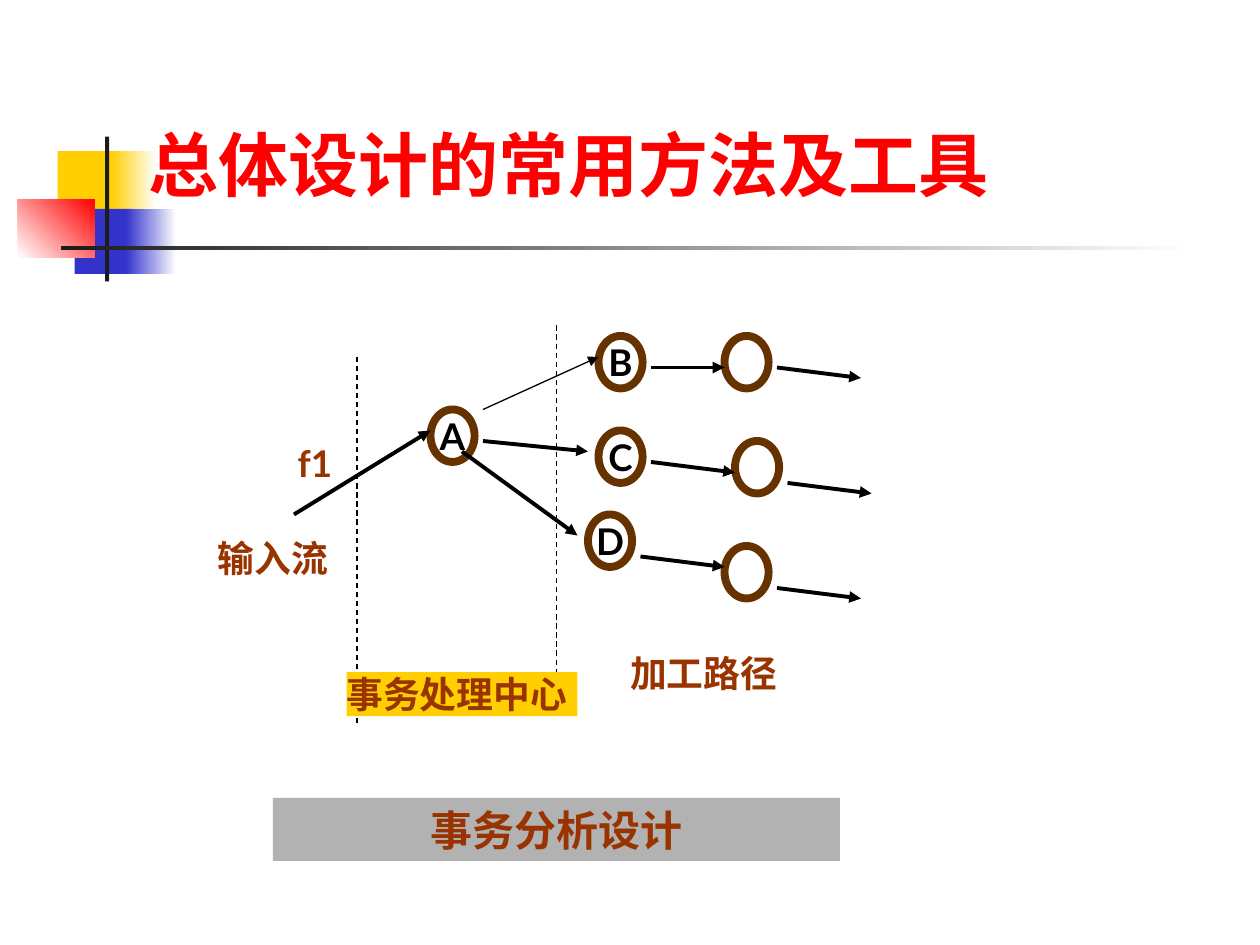
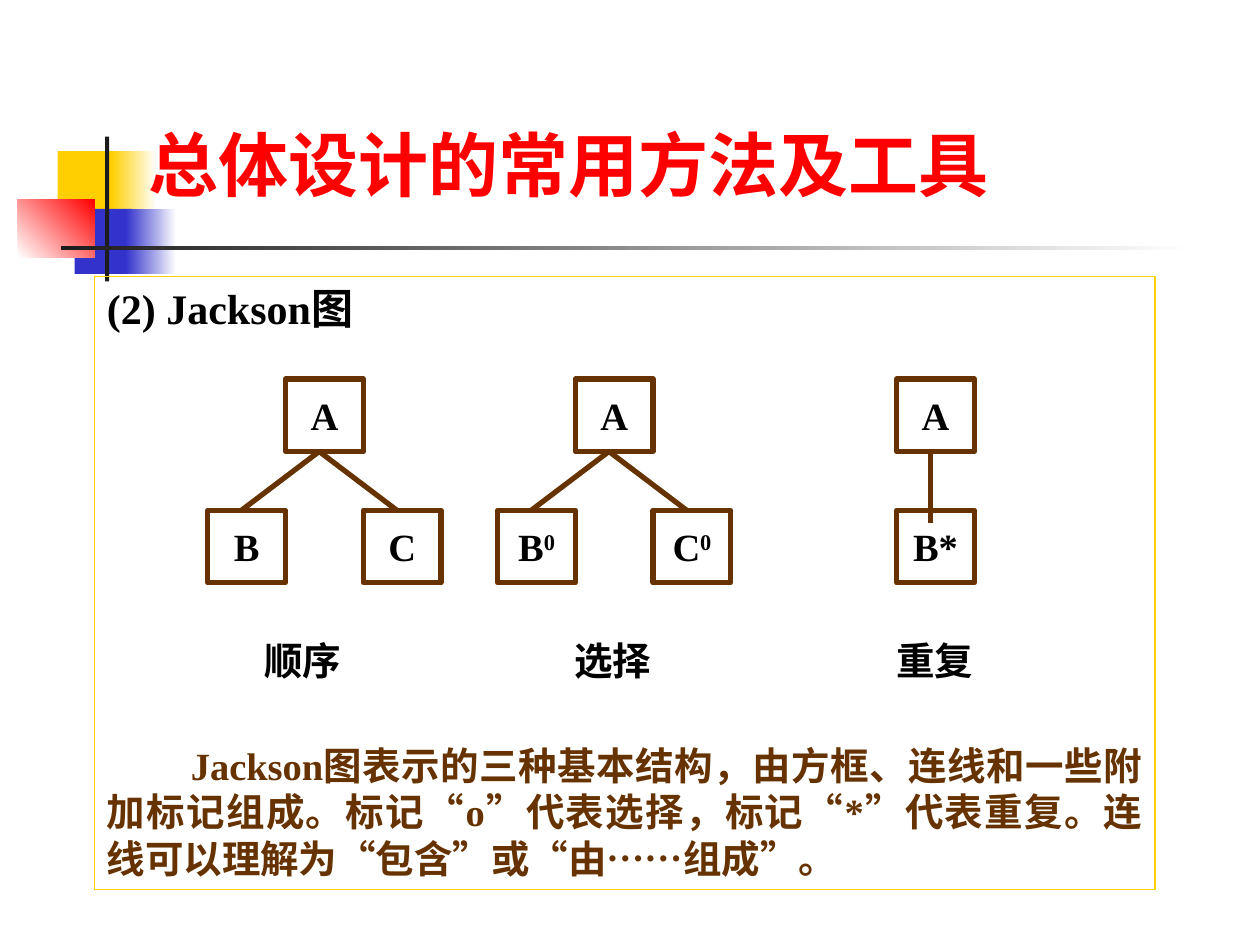
import dataclasses

import lxml.etree
import pptx
import pptx.dml.color
import pptx.enum.dml
import pptx.enum.shapes
import pptx.enum.text
import pptx.oxml
import pptx.oxml.ns
import pptx.util

SHAPE = pptx.enum.shapes.MSO_SHAPE
ALIGN = pptx.enum.text.PP_ALIGN
ANCHOR = pptx.enum.text.MSO_ANCHOR
EMU_PER_PX = 7620


@dataclasses.dataclass(frozen=True)
class Theme:
    white: str = "FFFFFF"
    black: str = "000000"
    ink: str = "1C1C1C"
    yellow: str = "FFCF01"
    blue: str = "3333CC"
    red: str = "FF0000"
    brown: str = "663300"
    rust: str = "993300"
    grey: str = "B2B2B2"
    serif: str = "Times New Roman"
    sans: str = "Lato"
    title: int = 40
    heading: int = 24
    body: int = 22
    label: int = 21
    thin: float = 0.75
    arrow: float = 2.25
    box: float = 3
    ring: float = 4.5


def px(n):
    return pptx.util.Emu(n * EMU_PER_PX)


def rgb(color):
    return pptx.dml.color.RGBColor.from_string(color)


class Deck:
    def __init__(self, theme):
        self.theme = theme
        self.prs = pptx.Presentation()
        self.prs.slide_width, self.prs.slide_height = px(1200), px(900)
        self.shapes = None

    def slide(self, title):
        t = self.theme
        s = self.prs.slides.add_slide(self.prs.slide_layouts[6])
        self.shapes = s.shapes
        self.shape(55, 144, 58, 62, fill=t.yellow)
        self.fade(106, 144, 43, 62, t.yellow, t.white)
        self.shape(71, 199, 55, 62, fill=t.blue)
        self.fade(120, 199, 48, 62, t.blue, t.white)
        self.fade(17, 190, 73, 55, t.white, t.red, 45)
        self.shape(100, 130, 4, 138, fill=t.ink)
        self.fade(58, 234, 1080, 4, t.ink, t.white)
        self.text(130, 110, 1020, 92, title, t.title, t.red, t.serif)

    def shape(self, x, y, w, h, kind=SHAPE.RECTANGLE, fill=None, line=None, width=1):
        sp = self.shapes.add_shape(kind, px(x), px(y), px(w), px(h))
        sp.shadow.inherit = False
        if fill:
            sp.fill.solid()
            sp.fill.fore_color.rgb = rgb(fill)
        else:
            sp.fill.background()
        if line:
            sp.line.color.rgb = rgb(line)
            sp.line.width = pptx.util.Pt(width)
        else:
            sp.line.fill.background()
        return sp

    def fade(self, x, y, w, h, start, end, angle=0):
        sp = self.shape(x, y, w, h)
        sp.fill.gradient()
        sp.fill.gradient_angle = angle
        for stop, color in zip(sp.fill.gradient_stops, (start, end)):
            stop.color.rgb = rgb(color)

    def frame(self, sp, inset=(12, 6), anchor=ANCHOR.TOP, wrap=True):
        tf = sp.text_frame
        tf.margin_left = tf.margin_right = px(inset[0])
        tf.margin_top = tf.margin_bottom = px(inset[1])
        tf.vertical_anchor = anchor
        tf.word_wrap = wrap
        return tf

    def fill_paragraph(self, p, text, size, color, font, align=ALIGN.LEFT, sup=""):
        p.alignment = align
        p.font.size = pptx.util.Pt(size)
        p.font.bold = True
        p.font.name = font
        p.font.color.rgb = rgb(color)
        p.add_run().text = text
        if sup:
            r = p.add_run()
            r.text = sup
            r.font._element.set("baseline", "30000")

    def text(self, x, y, w, h, text, size, color, font, align=ALIGN.LEFT,
             inset=(12, 6), wrap=True, fill=None):
        sp = self.shapes.add_textbox(px(x), px(y), px(w), px(h))
        if fill:
            sp.fill.solid()
            sp.fill.fore_color.rgb = rgb(fill)
        tf = self.frame(sp, inset, wrap=wrap)
        self.fill_paragraph(tf.paragraphs[0], text, size, color, font, align)

    def label(self, x, y, w, text, align=ALIGN.LEFT, fill=None):
        t = self.theme
        self.text(x, y, w, 42, text, t.label, t.rust, t.sans, align, (0, 0), fill=fill)

    def node(self, x, y, text=""):
        t = self.theme
        sp = self.shape(x, y, 42, 50, SHAPE.OVAL, line=t.brown, width=t.ring)
        if text:
            tf = self.frame(sp, anchor=ANCHOR.MIDDLE, wrap=False)
            self.fill_paragraph(tf.paragraphs[0], text, t.label, t.black, t.sans,
                                ALIGN.CENTER)

    def box(self, x, y, text, sup=""):
        t = self.theme
        sp = self.shape(x, y, 74, 69, line=t.brown, width=t.box)
        tf = self.frame(sp, anchor=ANCHOR.MIDDLE, wrap=False)
        self.fill_paragraph(tf.paragraphs[0], text, t.body, t.black, t.serif,
                            ALIGN.CENTER, sup)

    def line(self, x1, y1, x2, y2, color, width, dash=False, arrow=False):
        c = self.shapes.add_connector(
            pptx.enum.shapes.MSO_CONNECTOR.STRAIGHT, px(x1), px(y1), px(x2), px(y2))
        c.line.color.rgb = rgb(color)
        c.line.width = pptx.util.Pt(width)
        if dash:
            c.line.dash_style = pptx.enum.dml.MSO_LINE.DASH
        qn = pptx.oxml.ns.qn
        if arrow:
            ln = c._element.spPr.find(qn("a:ln"))
            lxml.etree.SubElement(ln, qn("a:tailEnd"), type="triangle")
        lxml.etree.SubElement(c._element.spPr, qn("a:effectLst"))

    def tree(self, x, children, line_end):
        t = self.theme
        slide_shapes = self.shapes
        self.shapes = slide_shapes.add_group_shape().shapes
        self.box(x, 361, "A")
        for dx, text, sup in children:
            self.box(x + dx, 486, text, sup)
        for dx, _, _ in children:
            self.line(x + 32, 430, x + dx + 32, line_end, t.brown, t.box)
        self.shapes = slide_shapes


def transaction_slide(deck, title):
    t = deck.theme
    deck.slide(title)
    for x, top, bottom in ((340, 340, 690), (530, 310, 670)):
        deck.line(x, top, x, bottom, t.black, t.thin, dash=True)
    nodes = ((410, 390, "A"), (570, 320, "B"), (570, 410, "C"), (560, 490, "D"),
             (690, 320, ""), (700, 420, ""), (690, 520, ""))
    for x, y, name in nodes:
        deck.node(x, y, name)
    deck.line(460, 390, 570, 340, t.black, t.thin, arrow=True)
    arrows = ((280, 490, 410, 410), (460, 420, 560, 430), (440, 430, 550, 510),
              (620, 350, 690, 350), (620, 440, 700, 450), (610, 530, 690, 540),
              (740, 350, 820, 360), (750, 460, 830, 470), (740, 560, 820, 570))
    for ends in arrows:
        deck.line(*ends, t.black, t.arrow, arrow=True)
    deck.label(270, 420, 60, "f1", ALIGN.CENTER)
    deck.label(200, 510, 120, "输入流", ALIGN.CENTER)
    deck.label(600, 620, 160, "加工路径")
    deck.label(330, 640, 220, "事务处理中心", fill=t.yellow)
    deck.text(260, 760, 540, 60, "事务分析设计", t.heading, t.rust, t.sans,
              ALIGN.CENTER, fill=t.grey)


def jackson_slide(deck, title):
    t = deck.theme
    deck.slide(title)
    panel = deck.shape(90, 263, 1010, 584, line=t.yellow, width=t.thin)
    tf = deck.frame(panel)
    deck.fill_paragraph(tf.paragraphs[0], "(2) Jackson图", t.heading, t.black, t.serif,
                        ALIGN.JUSTIFY)
    p = tf.add_paragraph()
    deck.fill_paragraph(
        p, "Jackson图表示的三种基本结构，由方框、连线和一些附加标记组成。"
        "标记“o”代表选择，标记“*”代表重复。连线可以理解为“包含”或“由……组成”。",
        t.body, t.brown, t.serif, ALIGN.JUSTIFY)
    p.space_before = pptx.util.Pt(234)
    p._p.get_or_add_pPr().set("indent", str(px(80)))
    deck.tree(272, ((-74, "B", ""), (74, "C", "")), 486)
    deck.tree(548, ((-74, "B", "0"), (74, "C", "0")), 486)
    deck.tree(854, ((0, "B*", ""),), 498)
    for x, name in ((240, "顺序"), (535, "选择"), (842, "重复")):
        deck.text(x, 601, 97, 56, name, t.body, t.black, t.serif, wrap=False)


def main():
    deck = Deck(Theme())
    title = "总体设计的常用方法及工具"
    transaction_slide(deck, title)
    jackson_slide(deck, title)
    deck.prs.save("out.pptx")


if __name__ == "__main__":
    main()
